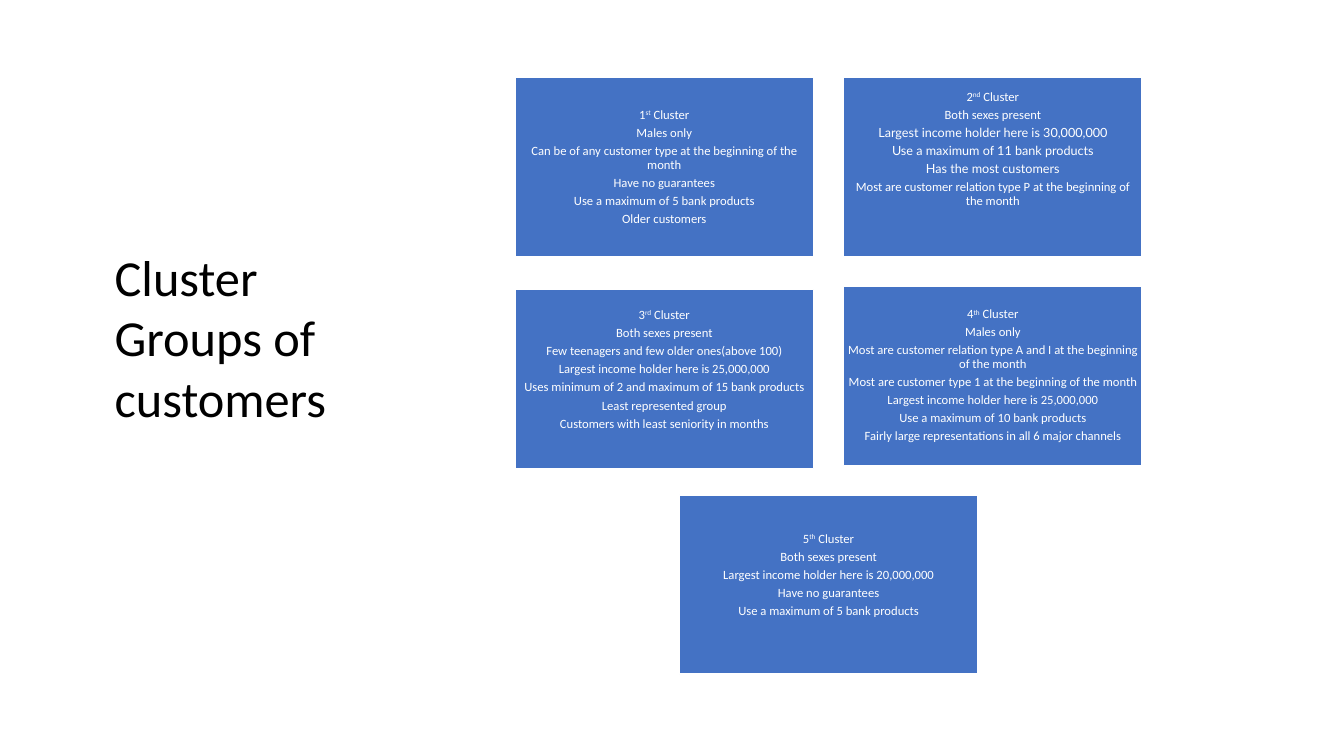
"""Build the slide describing the five customer clusters."""
from dataclasses import dataclass

from pptx import Presentation
from pptx.dml.color import RGBColor
from pptx.enum.shapes import MSO_SHAPE
from pptx.enum.text import MSO_ANCHOR, MSO_AUTO_SIZE, PP_ALIGN
from pptx.slide import Slide
from pptx.util import Cm, Pt

BLUE, WHITE, BLACK = "4472C4", "FFFFFF", "000000"
LEFT, PITCH, WIDTH, HEIGHT = 12.98, 8.28, 7.52, 4.52
INSET, LINE_STEP = 0.1, 0.46


@dataclass(frozen=True)
class Cluster:
    """Hold one cluster's place, wording and free lines at the bottom."""
    col: float
    top: float
    number: str
    suffix: str
    facts: tuple[str, ...]
    free_lines: int = 0
    lato: tuple[int, ...] = ()


CLUSTERS = [
    Cluster(0, 1.96, "1", "st", (
        "Males only",
        "Can be of any customer type at the beginning of the month",
        "Have no guarantees",
        "Use a maximum of 5 bank products",
        "Older customers")),
    Cluster(1, 1.96, "2", "nd", (
        "Both sexes present",
        "Largest income holder here is 30,000,000",
        "Use a maximum of 11 bank products",
        "Has the most customers",
        "Most are customer relation type P at the beginning of the month"),
        free_lines=2, lato=(1, 2, 3)),
    Cluster(0, 7.29, "3", "rd", (
        "Both sexes present",
        "Few teenagers and few older ones(above 100)",
        "Largest income holder here is 25,000,000",
        "Uses minimum of 2 and maximum of 15 bank products",
        "Least represented group",
        "Customers with least seniority in months"), free_lines=1),
    Cluster(1, 7.21, "4", "th", (
        "Males only",
        "Most are customer relation type A and I at the beginning of the month",
        "Most are customer type 1 at the beginning of the month",
        "Largest income holder here is 25,000,000",
        "Use a maximum of 10 bank products",
        "Fairly large representations in all 6 major channels")),
    Cluster(0.5, 12.47, "5", "th", (
        "Both sexes present",
        "Largest income holder here is 20,000,000",
        "Have no guarantees",
        "Use a maximum of 5 bank products"), free_lines=1),
]


def rgb(value: str) -> RGBColor:
    """Turn a hex string into a colour."""
    return RGBColor.from_string(value)


def style_run(r, size: float, color: str, font: str = "Calibri") -> None:
    """Set a run's font, size and colour."""
    r.font.name, r.font.size = font, Pt(size)
    r.font.color.rgb = rgb(color)


def draw_cluster(s: Slide, cluster: Cluster) -> None:
    """Draw one cluster box with its heading and facts."""
    sp = s.shapes.add_shape(MSO_SHAPE.RECTANGLE, Cm(LEFT + cluster.col * PITCH),
                            Cm(cluster.top), Cm(WIDTH), Cm(HEIGHT))
    sp.shadow.inherit = False
    sp.fill.solid()
    sp.fill.fore_color.rgb = rgb(BLUE)
    sp.line.color.rgb = rgb(WHITE)
    sp.line.width = Pt(1)
    tf = sp.text_frame
    tf.word_wrap = True
    tf.vertical_anchor = MSO_ANCHOR.MIDDLE
    tf.margin_left = tf.margin_right = tf.margin_top = Cm(INSET)
    tf.margin_bottom = Cm(INSET + cluster.free_lines * LINE_STEP)

    heading = tf.paragraphs[0]
    for text in (cluster.number, cluster.suffix, " Cluster"):
        heading.add_run().text = text
    heading.runs[1]._r.get_or_add_rPr().set("baseline", "30000")
    for fact in cluster.facts:
        tf.add_paragraph().text = fact
    for i, p in enumerate(tf.paragraphs):
        p.alignment = PP_ALIGN.CENTER
        p.line_spacing = 0.9
        p.space_after = Pt(3.15)
        for r in p.runs:
            style_run(r, 9, WHITE, "Lato" if i - 1 in cluster.lato else "Calibri")


def draw_title(s: Slide, text: str) -> None:
    """Write the slide title on the left."""
    tf = s.shapes.add_textbox(Cm(2.64), Cm(6.07), Cm(7.57), Cm(4.88)).text_frame
    tf.word_wrap = True
    tf.auto_size = MSO_AUTO_SIZE.SHAPE_TO_FIT_TEXT
    tf.text = text
    style_run(tf.paragraphs[0].runs[0], 36, BLACK)


def main() -> None:
    """Build and save the slide."""
    prs = Presentation()
    prs.slide_width, prs.slide_height = Cm(33.87), Cm(19.05)
    s = prs.slides.add_slide(prs.slide_layouts[6])
    for cluster in CLUSTERS:
        draw_cluster(s, cluster)
    draw_title(s, "Cluster Groups of customers")
    prs.save("out.pptx")


main()
